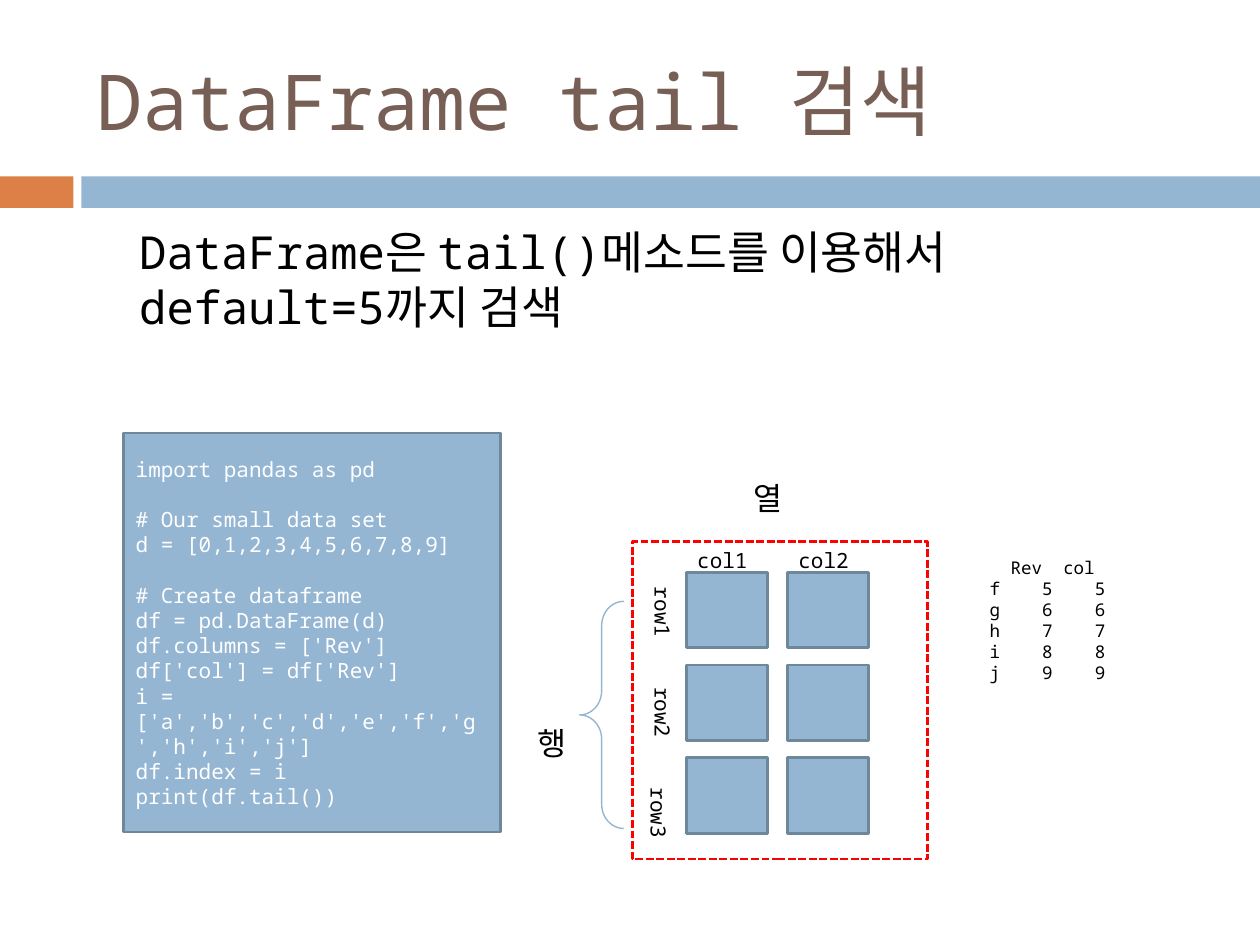
"""Build the slide that explains how DataFrame tail() searches rows."""
import lxml.etree
import pptx
import pptx.dml.color
import pptx.enum.dml
import pptx.enum.shapes
import pptx.enum.text
import pptx.oxml.ns
import pptx.util

Pt = pptx.util.Pt
RGBColor = pptx.dml.color.RGBColor
Shapes = pptx.enum.shapes.MSO_SHAPE
Align = pptx.enum.text.PP_ALIGN
Anchor = pptx.enum.text.MSO_ANCHOR

FONT = "Noto Sans Mono"
BLUE = RGBColor(0x94, 0xB6, 0xD2)
DARK_BLUE = RGBColor(0x6D, 0x87, 0x9B)
ORANGE = RGBColor(0xDD, 0x80, 0x47)
BROWN = RGBColor(0x77, 0x5F, 0x55)
RED = RGBColor(0xFF, 0x00, 0x00)
BLACK = RGBColor(0x00, 0x00, 0x00)
WHITE = RGBColor(0xFF, 0xFF, 0xFF)

CODE_BLOCKS = [
    ["import pandas as pd"],
    ["# Our small data set", "d = [0,1,2,3,4,5,6,7,8,9]"],
    [
        "# Create dataframe",
        "df = pd.DataFrame(d)",
        "df.columns = ['Rev']",
        "df['col'] = df['Rev']",
        "i = ['a','b','c','d','e','f','g','h','i','j']",
        "df.index = i",
        "print(df.tail())",
    ],
]
TAIL_ROWS = [("f", 5), ("g", 6), ("h", 7), ("i", 8), ("j", 9)]
HEADER_TABS = (12, 42)
VALUE_TABS = (30, 60)


def add_shape(slide, kind, box, fill=None, line=None, width=1.5):
    shape = slide.shapes.add_shape(kind, *map(Pt, box))
    shape.shadow.inherit = False
    if fill is None:
        shape.fill.background()
    else:
        shape.fill.solid()
        shape.fill.fore_color.rgb = fill
    if line is None:
        shape.line.fill.background()
    else:
        shape.line.color.rgb = line
        shape.line.width = Pt(width)
    return shape


def write_lines(frame, lines, size, color, align=Align.LEFT):
    frame.text = "\n".join(lines)
    for paragraph in frame.paragraphs:
        paragraph.alignment = align
        paragraph.font.name = FONT
        paragraph.font.size = Pt(size)
        paragraph.font.color.rgb = color


def add_text(slide, box, lines, size, color=BLACK, align=Align.LEFT):
    shape = slide.shapes.add_textbox(*map(Pt, box))
    shape.text_frame.word_wrap = True
    write_lines(shape.text_frame, lines, size, color, align)
    return shape


def add_vertical_label(slide, box, text):
    label = add_text(slide, box, [text], 12)
    label.text_frame.word_wrap = False
    label.element.txBody.bodyPr.set("vert", "eaVert")


def set_tabs(paragraph, positions):
    properties = paragraph._p.get_or_add_pPr()
    tab_list = lxml.etree.Element(pptx.oxml.ns.qn("a:tabLst"))
    for position in positions:
        tab = lxml.etree.SubElement(tab_list, pptx.oxml.ns.qn("a:tab"))
        tab.set("pos", str(Pt(position)))
        tab.set("algn", "l")
    properties.insert(0, tab_list)


def add_heading(slide):
    add_shape(slide, Shapes.RECTANGLE, (0, 100.8, 42, 18), ORANGE)
    add_shape(slide, Shapes.RECTANGLE, (46.5, 100.8, 673.5, 18), BLUE)
    title = add_text(slide, (48, 18, 642, 78), ["DataFrame tail 검색"], 44, BROWN)
    title.text_frame.vertical_anchor = Anchor.MIDDLE
    sentence = "DataFrame은 tail()메소드를 이용해서 default=5까지 검색"
    body = add_text(slide, (72.5, 124.5, 612, 100), [sentence], 26)
    body.text_frame.paragraphs[0].space_before = Pt(5.5)


def add_code(slide):
    box = add_shape(slide, Shapes.RECTANGLE, (70.5, 247.5, 215.5, 228), BLUE, DARK_BLUE)
    frame = box.text_frame
    frame.word_wrap = True
    frame.vertical_anchor = Anchor.MIDDLE
    write_lines(frame, sum(CODE_BLOCKS, []), 12, WHITE)
    start = 0
    for block in CODE_BLOCKS[:-1]:
        start += len(block)
        frame.paragraphs[start].space_before = Pt(14.4)


def add_tail_output(slide):
    lines = ["\tRev\tcol"] + [f"{index}\t{value}\t{value}" for index, value in TAIL_ROWS]
    output = add_text(slide, (558.5, 314.5, 102, 80), lines, 10)
    header, *rows = output.text_frame.paragraphs
    set_tabs(header, HEADER_TABS)
    for row in rows:
        set_tabs(row, VALUE_TABS)


def add_grid(slide):
    for column in range(2):
        left = 392.3 + 57.8 * column
        for row in range(3):
            cell = (left, 327 + 53 * row, 46.2, 43.2)
            add_shape(slide, Shapes.RECTANGLE, cell, BLUE, DARK_BLUE)
        label = (left - 5, 309.6, 51, 19)
        add_text(slide, label, [f"col{column + 1}"], 12, align=Align.CENTER)
    for row, left in enumerate((363.6, 363.6, 361.4)):
        add_vertical_label(slide, (left, 328.3 + 57.3 * row, 26, 31), f"row{row + 1}")
    add_text(slide, (300.2, 410.4, 41, 24.5), ["행"], 18)
    add_text(slide, (423.4, 270, 41, 29), ["열"], 18)
    brace = add_shape(slide, Shapes.RIGHT_BRACE, (331.2, 343.6, 25.2, 129.8), None, BLUE, 0.79)
    brace.rotation = 180
    brace.adjustments[0] = 0.55
    brace.adjustments[1] = 0.5
    frame = add_shape(slide, Shapes.RECTANGLE, (361.4, 309.5, 168.6, 181.5), None, RED)
    frame.line.dash_style = pptx.enum.dml.MSO_LINE.SQUARE_DOT


def main():
    presentation = pptx.Presentation()
    presentation.slide_width = Pt(720)
    presentation.slide_height = Pt(540)
    slide = presentation.slides.add_slide(presentation.slide_layouts[6])
    add_heading(slide)
    add_code(slide)
    add_tail_output(slide)
    add_grid(slide)
    presentation.save("out.pptx")


if __name__ == "__main__":
    main()
